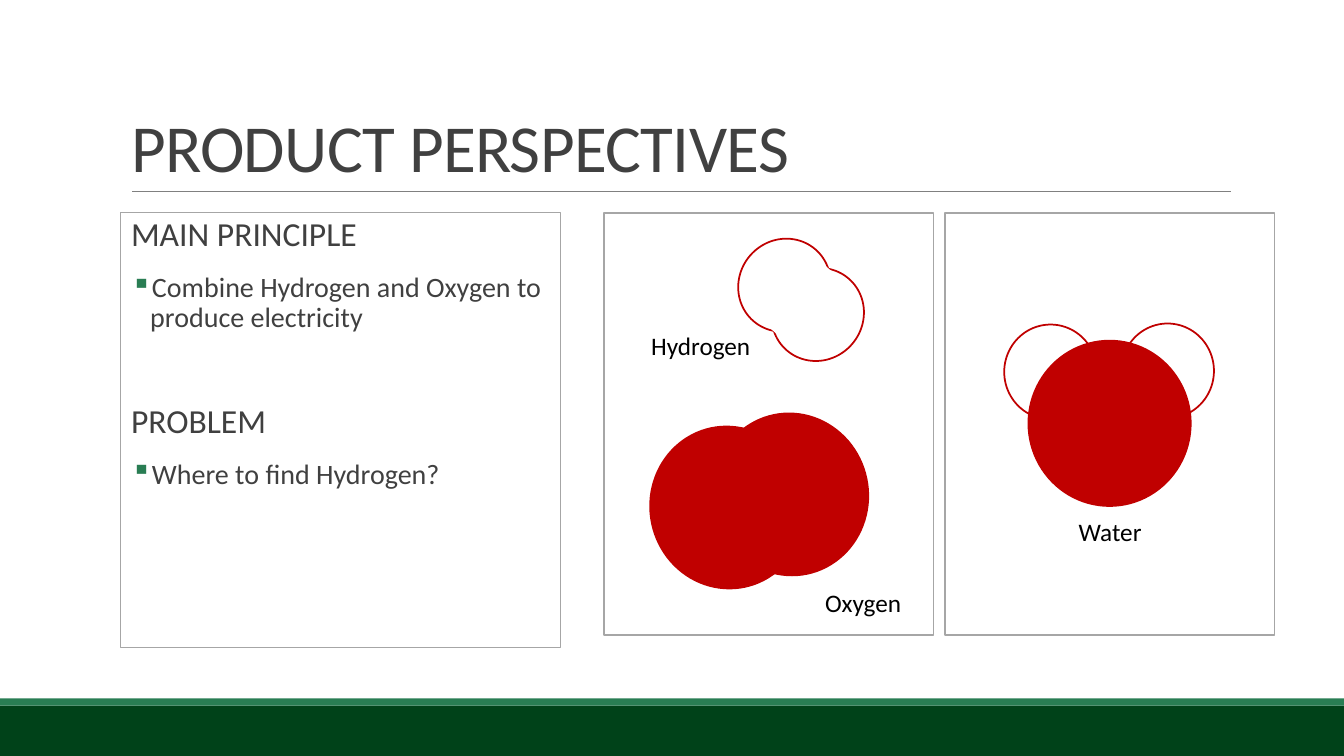
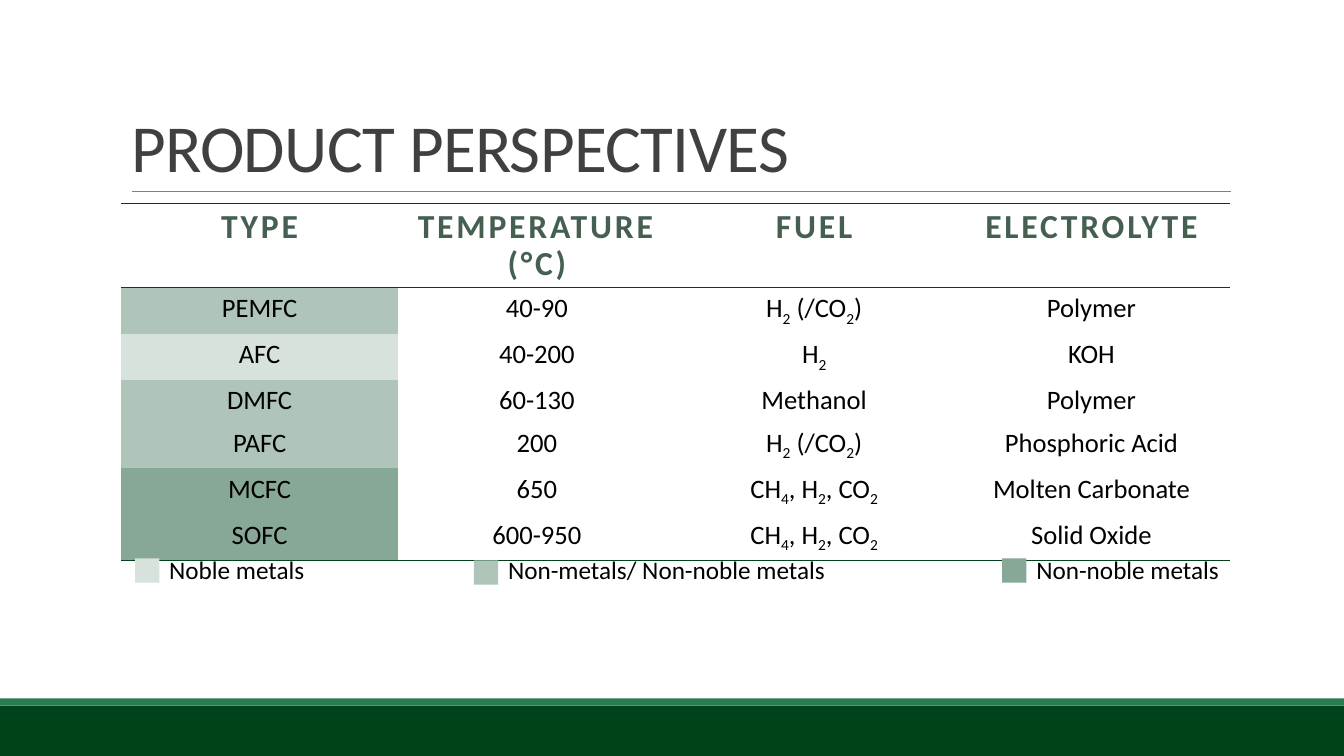
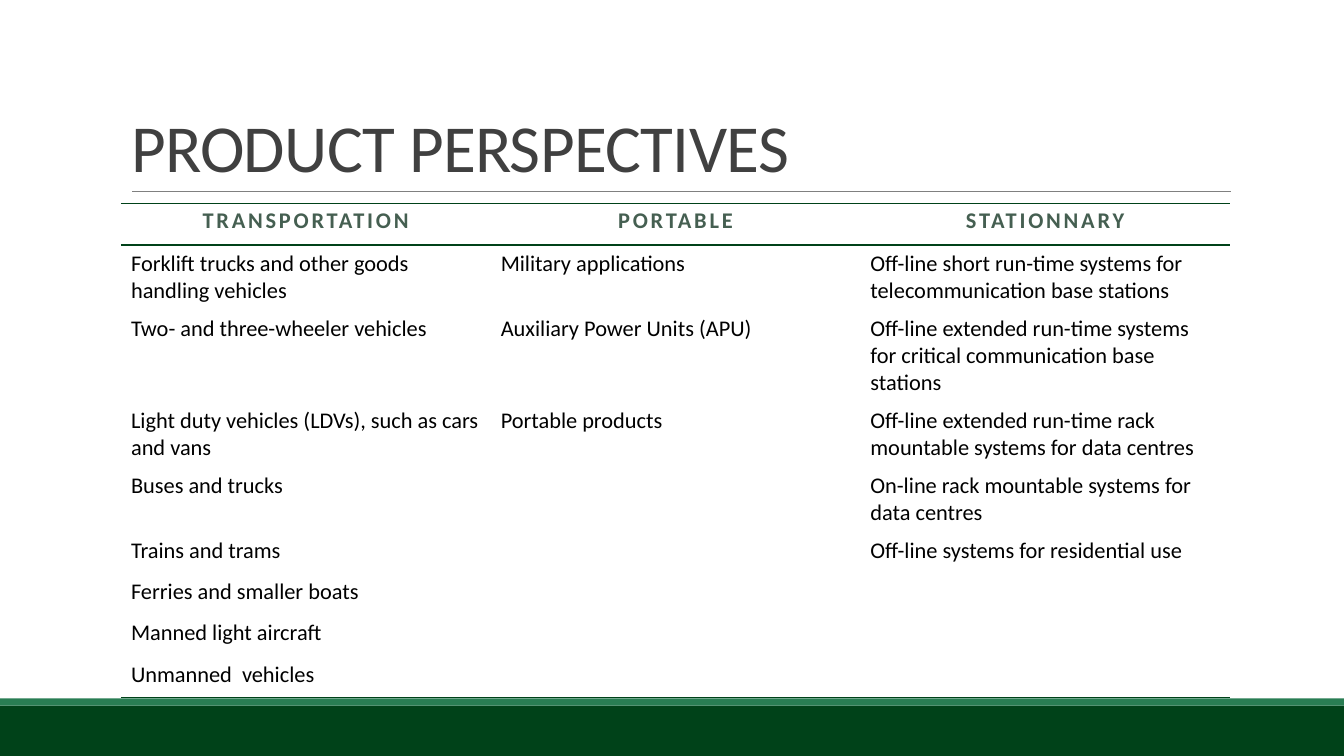
import dataclasses
import typing

import pptx
import pptx.dml.color
import pptx.enum.shapes
import pptx.enum.text
import pptx.oxml
import pptx.oxml.ns
import pptx.util

Inches = pptx.util.Inches
Pt = pptx.util.Pt
SHAPE = pptx.enum.shapes.MSO_SHAPE
ALIGN = pptx.enum.text.PP_ALIGN
qn = pptx.oxml.ns.qn

FONT = "Calibri"
NO_STYLE = "{2D5ABB26-0587-4C30-8999-92F81FD0307C}"
COLORS = {
    "white": "FFFFFF",
    "black": "000000",
    "text": "404040",
    "heading": "455F51",
    "dark": "004219",
    "accent": "297D53",
    "rule": "808080",
    "frame": "A6A6A6",
    "red": "C00000",
    "noble": "D7E2DC",
    "mixed": "AFC5B9",
    "non_noble": "87A896",
}


@dataclasses.dataclass
class Figure:
    kind: SHAPE
    left: float
    top: float
    width: float
    height: float
    fill: typing.Optional[str] = None
    line: typing.Optional[str] = None
    weight: float = 1.25
    rotation: float = 0


@dataclasses.dataclass
class Label:
    text: str
    left: float
    top: float
    width: float = 1.78
    align: ALIGN = ALIGN.CENTER


@dataclasses.dataclass
class Point:
    text: str
    size: int
    bullet: bool = False
    before: float = 12


@dataclasses.dataclass
class LegendItem:
    text: str
    color: str
    left: float
    top: float
    width: float


def rgb(name: str) -> pptx.dml.color.RGBColor:
    return pptx.dml.color.RGBColor.from_string(COLORS[name])


def add_xml(parent, index: int, xml: str) -> None:
    opening, rest = xml.split(" ", 1)
    parent.insert(index, pptx.oxml.parse_xml(f"{opening} {pptx.oxml.ns.nsdecls('a')} {rest}"))


def write(para, text: str, *, size: float, color: str = "black", bold: bool = False,
          tracking: float = 0, align: ALIGN = ALIGN.LEFT, line_spacing: float = 1.0,
          before: float = 0, after: float = 0) -> None:
    """Fill a paragraph; a character after an underscore is a subscript."""
    para.alignment = align
    para.line_spacing = line_spacing
    para.space_before = Pt(before)
    para.space_after = Pt(after)
    first, *others = text.split("_")
    pieces = [(first, False)]
    for other in others:
        pieces += [(other[0], True), (other[1:], False)]
    for piece, subscript in pieces:
        if not piece:
            continue
        span = para.add_run()
        span.text = piece
        span.font.name = FONT
        span.font.size = Pt(size)
        span.font.bold = bold
        span.font.color.rgb = rgb(color)
        properties = span._r.get_or_add_rPr()
        if tracking:
            properties.set("spc", str(round(tracking * 100)))
        if subscript:
            properties.set("baseline", "-25000")


def add_figure(page, figure: Figure):
    shape = page.shapes.add_shape(figure.kind, Inches(figure.left), Inches(figure.top),
                                  Inches(figure.width), Inches(figure.height))
    shape.shadow.inherit = False
    shape.rotation = figure.rotation
    if figure.fill:
        shape.fill.solid()
        shape.fill.fore_color.rgb = rgb(figure.fill)
    else:
        shape.fill.background()
    if figure.line:
        shape.line.color.rgb = rgb(figure.line)
        shape.line.width = Pt(figure.weight)
    else:
        shape.line.fill.background()
    return shape


def add_label(page, label: Label) -> None:
    box = page.shapes.add_textbox(Inches(label.left), Inches(label.top),
                                  Inches(label.width), Inches(0.4))
    box.text_frame.word_wrap = True
    write(box.text_frame.paragraphs[0], label.text, size=18, align=label.align)


def decorate_layout(page) -> None:
    """Draw the bands and the title rule, then move them to the page's layout."""
    rule = page.shapes.add_connector(pptx.enum.shapes.MSO_CONNECTOR.STRAIGHT,
                                     Inches(1.31), Inches(1.9), Inches(12.21), Inches(1.9))
    rule.line.color.rgb = rgb("rule")
    rule.line.width = Pt(0.5)
    add_xml(rule.element.spPr, len(rule.element.spPr), "<a:effectLst />")
    parts = [
        add_figure(page, Figure(SHAPE.RECTANGLE, 0, 7, 13.33, 0.5, "dark")),
        add_figure(page, Figure(SHAPE.RECTANGLE, 0, 6.93, 13.33, 0.07, "accent")),
        rule,
    ]
    for part in parts:
        page.slide_layout.shapes.element.append(part.element)


def add_page(deck):
    page = deck.slides.add_slide(deck.slide_layouts[5])
    title = page.shapes.title
    title.left, title.top = Inches(1.2), Inches(0.31)
    title.width, title.height = Inches(11), Inches(1.59)
    frame = title.text_frame
    frame.auto_size = pptx.enum.text.MSO_AUTO_SIZE.NONE
    frame.vertical_anchor = pptx.enum.text.MSO_ANCHOR.BOTTOM
    write(frame.paragraphs[0], "PRODUCT PERSPECTIVES", size=48, color="text",
          tracking=-0.5, line_spacing=0.85)
    return page


def add_points(page, points: list[Point]) -> None:
    box = add_figure(page, Figure(SHAPE.RECTANGLE, 1.2, 2.11, 4.36, 4.31,
                                  line="frame", weight=0.75))
    frame = box.text_frame
    frame.word_wrap = True
    frame.vertical_anchor = pptx.enum.text.MSO_ANCHOR.TOP
    frame.margin_left = frame.margin_right = 0
    for number, point in enumerate(points):
        para = frame.add_paragraph() if number else frame.paragraphs[0]
        write(para, point.text, size=point.size, color="text", line_spacing=0.9,
              before=point.before, after=2)
        properties = para._p.get_or_add_pPr()
        properties.set("marL", str(Inches(0.29 if point.bullet else 0.1)))
        properties.set("indent", str(Inches(-0.19 if point.bullet else 0)))
        if point.bullet:
            end = len(properties)
            add_xml(properties, end, '<a:buChar char="▪"/>')
            add_xml(properties, end,
                    f'<a:buClr ><a:srgbClr val="{COLORS["accent"]}"/></a:buClr>')


def add_borders(cell, sides: str) -> None:
    properties = cell._tc.get_or_add_tcPr()
    for index, side in enumerate(sides):
        add_xml(properties, index,
                f'<a:ln{side} w="{Pt(1)}"><a:solidFill><a:srgbClr val="{COLORS["dark"]}"/>'
                f"</a:solidFill></a:ln{side}>")


def add_grid(page, rows: list[list[str]], heights: list[float], *, header_size: float,
             body_size: float, align: ALIGN, first_fills: typing.Sequence[str] = ()) -> None:
    """Draw a ruled table; first_fills colours the first column below the header."""
    count = len(rows[0])
    frame = page.shapes.add_table(len(rows), count, Inches(1.2), Inches(2.02),
                                  Inches(11), Inches(sum(heights)))
    frame.element.find(".//" + qn("a:tableStyleId")).text = NO_STYLE
    table = frame.table
    table.horz_banding = False
    for column in table.columns:
        column.width = Inches(11 / count)
    for r, (texts, height) in enumerate(zip(rows, heights)):
        table.rows[r].height = Inches(height)
        for c, text in enumerate(texts):
            cell = table.cell(r, c)
            if r and c == 0 and first_fills:
                cell.fill.solid()
                cell.fill.fore_color.rgb = rgb(first_fills[r - 1])
            else:
                cell.fill.background()
            para = cell.text_frame.paragraphs[0]
            if r == 0:
                write(para, text, size=header_size, color="heading", bold=True, tracking=2,
                      align=ALIGN.CENTER, line_spacing=0.9, before=12, after=2)
                add_borders(cell, "TB")
            elif text:
                write(para, text, size=body_size, align=align)
            if r == len(rows) - 1:
                add_borders(cell, "B")


def build_principle(page) -> None:
    # Panels, molecules and their names
    circle, square = SHAPE.OVAL, SHAPE.RECTANGLE
    for figure in [
        Figure(square, 5.99, 2.11, 3.27, 4.19, "white", "frame"),
        Figure(circle, 7.33, 2.36, 0.9, 0.94, "white", "red", rotation=40.5),
        Figure(circle, 7.66, 2.65, 0.9, 0.94, None, "red", rotation=40.5),
        Figure(square, 7.67, 2.57, 0.55, 0.81, "white", "white", rotation=40.5),
        Figure(circle, 6.45, 4.23, 1.54, 1.61, "red", "red", rotation=348.1),
        Figure(circle, 7.07, 4.1, 1.54, 1.61, "red", "red", rotation=348.1),
        Figure(square, 9.37, 2.11, 3.27, 4.19, "white", "frame"),
        Figure(circle, 10.2, 3.38, 1.61, 1.64, "red", "red"),
        Figure(circle, 11.12, 3.21, 0.92, 0.94, None, "red"),
        Figure(circle, 9.96, 3.22, 0.92, 0.94, None, "red"),
    ]:
        add_figure(page, figure)
    for label in [Label("Hydrogen", 6.06, 3.23), Label("Oxygen", 7.67, 5.78),
                  Label("Water", 10.12, 5.07)]:
        add_label(page, label)

    # Principle and problem
    add_points(page, [
        Point("MAIN PRINCIPLE", 24),
        Point("Combine Hydrogen and Oxygen to produce electricity", 20, bullet=True),
        Point("PROBLEM", 24, before=48),
        Point("Where to find Hydrogen?", 20, bullet=True),
    ])


def build_types(page) -> None:
    # Fuel cell types, coloured by catalyst
    rows = [
        ["TYPE", "TEMPERATURE (°C)", "FUEL", "ELECTROLYTE"],
        ["PEMFC", "40-90", "H_2 (/CO_2)", "Polymer"],
        ["AFC", "40-200", "H_2", "KOH"],
        ["DMFC", "60-130", "Methanol", "Polymer"],
        ["PAFC", "200", "H_2 (/CO_2)", "Phosphoric Acid"],
        ["MCFC", "650", "CH_4, H_2, CO_2", "Molten Carbonate"],
        ["SOFC", "600-950", "CH_4, H_2, CO_2", "Solid Oxide"],
    ]
    add_grid(page, rows, [0.82] + [0.42] * 6, header_size=24, body_size=19,
             align=ALIGN.CENTER,
             first_fills=["mixed", "noble", "mixed", "mixed", "non_noble", "non_noble"])

    # Legend
    side = 0.24
    for item in [
        LegendItem("Noble metals", "noble", 1.34, 5.54, 1.6),
        LegendItem("Non-metals/ Non-noble metals", "mixed", 4.7, 5.56, 3.49),
        LegendItem("Non-noble metals", "non_noble", 9.94, 5.54, 2.04),
    ]:
        add_figure(page, Figure(SHAPE.RECTANGLE, item.left, item.top, side, side, item.color))
        add_label(page, Label(item.text, item.left + side, 5.45, item.width, ALIGN.LEFT))


def build_applications(page) -> None:
    rows = [
        ["TRANSPORTATION", "PORTABLE", "STATIONNARY"],
        ["Forklift trucks and other goods handling vehicles", "Military applications",
         "Off-line short run-time systems for telecommunication base stations"],
        ["Two- and three-wheeler vehicles", "Auxiliary Power Units (APU)",
         "Off-line extended run-time systems for critical communication base stations"],
        ["Light duty vehicles (LDVs), such as cars and vans", "Portable products",
         "Off-line extended run-time rack mountable systems for data centres"],
        ["Buses and trucks", "", "On-line rack mountable systems for data centres"],
        ["Trains and trams", "", "Off-line systems for residential use"],
        ["Ferries and smaller boats", "", ""],
        ["Manned light aircraft", "", ""],
        ["Unmanned  vehicles", "", ""],
    ]
    add_grid(page, rows, [0.41, 0.63, 0.9, 0.63, 0.63] + [0.41] * 4,
             header_size=16, body_size=16, align=ALIGN.LEFT)


def main() -> None:
    deck = pptx.Presentation()
    deck.slide_width, deck.slide_height = Inches(13.33), Inches(7.5)
    builders = [build_principle, build_types, build_applications]
    pages = [add_page(deck) for _ in builders]
    decorate_layout(pages[0])
    for build, page in zip(builders, pages):
        build(page)
    deck.save("out.pptx")


if __name__ == "__main__":
    main()
